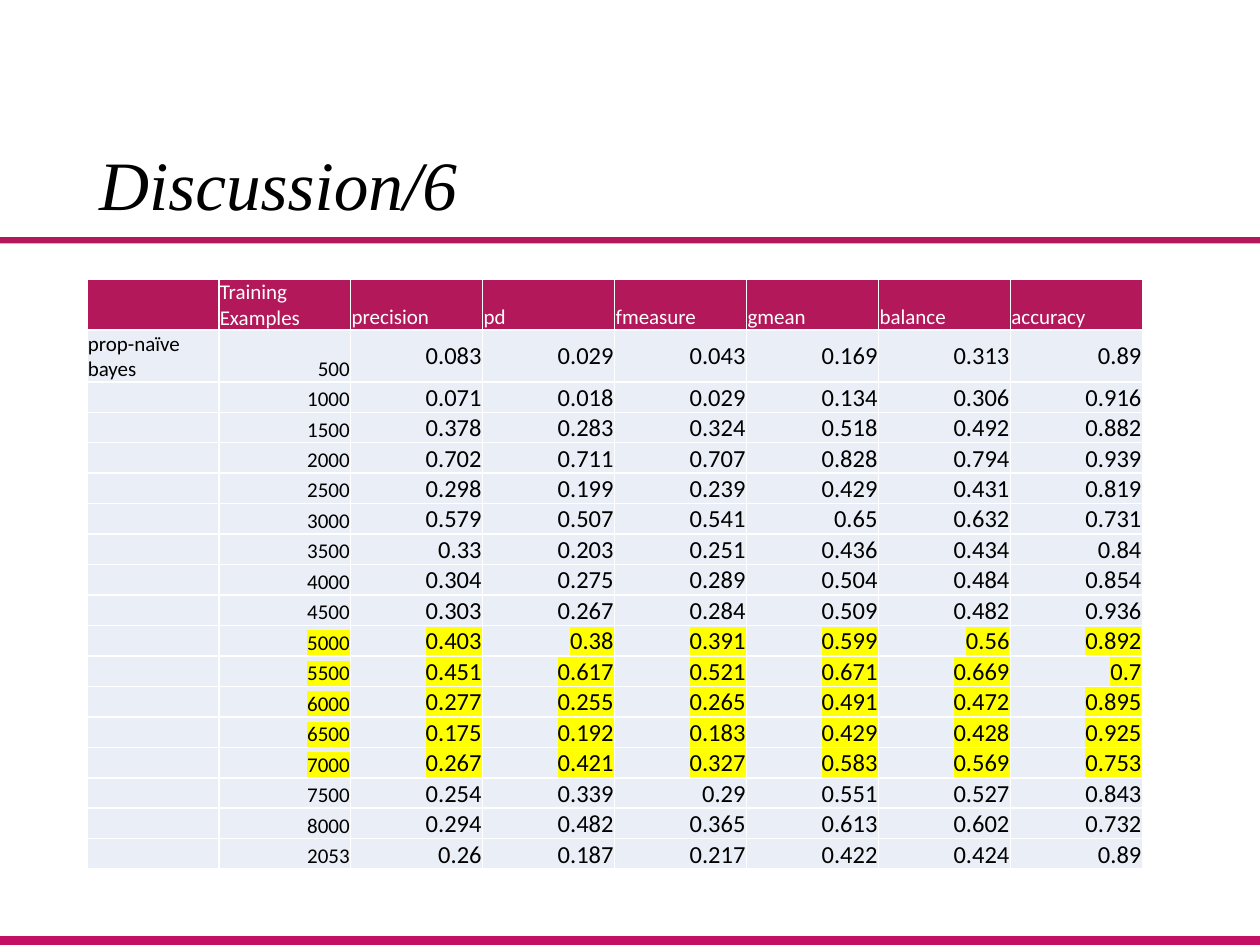
import dataclasses

import lxml.etree
import pptx
import pptx.dml.color
import pptx.enum.shapes
import pptx.enum.text
import pptx.oxml.ns
import pptx.util

Cm = pptx.util.Cm
Pt = pptx.util.Pt
qn = pptx.oxml.ns.qn
ALIGN = pptx.enum.text.PP_ALIGN
ANCHOR = pptx.enum.text.MSO_ANCHOR


@dataclasses.dataclass(frozen=True)
class Theme:
    title_font: str = "Times New Roman"
    table_font: str = "Calibri"
    title_size: float = 39.6
    label_size: float = 12
    value_size: float = 14
    border_width: float = 1
    ink: str = "000000"
    paper: str = "FFFFFF"
    accent: str = "B3195A"
    footer: str = "C21069"
    row_fill: str = "EAEFF7"
    marker: str = "FFFF00"


def rgb(color):
    return pptx.dml.color.RGBColor.from_string(color)


class SlideBuilder:
    def __init__(self, page, theme):
        self.page = page
        self.theme = theme

    def bar(self, left, top, width, height, color):
        box = self.page.shapes.add_shape(
            pptx.enum.shapes.MSO_SHAPE.RECTANGLE,
            Cm(left), Cm(top), Cm(width), Cm(height))
        box.shadow.inherit = False
        box.fill.solid()
        box.fill.fore_color.rgb = rgb(color)
        box.line.fill.background()

    def span(self, para, text, font, size, color, italic=False, marker=None):
        span = para.add_run()
        span.text = text
        span.font.name = font
        span.font.size = Pt(size)
        span.font.bold = False
        span.font.italic = italic
        span.font.color.rgb = rgb(color)
        if marker:
            highlight = lxml.etree.Element(qn("a:highlight"))
            lxml.etree.SubElement(highlight, qn("a:srgbClr"), val=marker)
            span.font._element.find(qn("a:solidFill")).addnext(highlight)

    def title(self, left, top, width, height, text):
        box = self.page.shapes.add_textbox(Cm(left), Cm(top), Cm(width), Cm(height))
        frame = box.text_frame
        frame.word_wrap = True
        frame.vertical_anchor = ANCHOR.MIDDLE
        para = frame.paragraphs[0]
        para.line_spacing = 0.9
        self.span(para, text, self.theme.title_font, self.theme.title_size,
                  self.theme.ink, italic=True)

    def borders(self, cell):
        properties = cell._tc.get_or_add_tcPr()
        for side in ("lnL", "lnR", "lnT", "lnB"):
            line = lxml.etree.SubElement(
                properties, qn(f"a:{side}"), w=str(Pt(self.theme.border_width)))
            fill = lxml.etree.SubElement(line, qn("a:solidFill"))
            lxml.etree.SubElement(fill, qn("a:srgbClr"), val=self.theme.paper)

    def cell(self, cell, text, fill, color, size, align, anchor, marker):
        self.borders(cell)
        cell.fill.solid()
        cell.fill.fore_color.rgb = rgb(fill)
        cell.margin_left = cell.margin_right = cell.margin_top = Cm(0.02)
        cell.margin_bottom = 0
        cell.vertical_anchor = anchor
        para = cell.text_frame.paragraphs[0]
        para.alignment = align
        if text:
            self.span(para, text, self.theme.table_font, size, color, marker=marker)
        else:
            lxml.etree.SubElement(para._p, qn("a:endParaRPr"), sz=str(size * 100))

    def table(self, left, top, column_width, row_heights, rows, marked):
        theme = self.theme
        columns = len(rows[0])
        table = self.page.shapes.add_table(
            len(rows), columns, Cm(left), Cm(top),
            Cm(column_width * columns), Cm(sum(row_heights))).table
        for column in table.columns:
            column.width = Cm(column_width)
        for row, height in zip(table.rows, row_heights):
            row.height = Cm(height)
        for r, row in enumerate(rows):
            header = r == 0
            for c, text in enumerate(row):
                value = not header and c > 1
                self.cell(
                    table.cell(r, c), text,
                    fill=theme.accent if header else theme.row_fill,
                    color=theme.paper if header else theme.ink,
                    size=theme.value_size if value else theme.label_size,
                    align=ALIGN.LEFT if header or c == 0 else ALIGN.RIGHT,
                    anchor=ANCHOR.MIDDLE if value else ANCHOR.BOTTOM,
                    marker=theme.marker if row[1] in marked else None)


HEADER = ["", "Training Examples", "precision", "pd", "fmeasure", "gmean",
          "balance", "accuracy"]
RESULTS = """
500 0.083 0.029 0.043 0.169 0.313 0.89
1000 0.071 0.018 0.029 0.134 0.306 0.916
1500 0.378 0.283 0.324 0.518 0.492 0.882
2000 0.702 0.711 0.707 0.828 0.794 0.939
2500 0.298 0.199 0.239 0.429 0.431 0.819
3000 0.579 0.507 0.541 0.65 0.632 0.731
3500 0.33 0.203 0.251 0.436 0.434 0.84
4000 0.304 0.275 0.289 0.504 0.484 0.854
4500 0.303 0.267 0.284 0.509 0.482 0.936
5000 0.403 0.38 0.391 0.599 0.56 0.892
5500 0.451 0.617 0.521 0.671 0.669 0.7
6000 0.277 0.255 0.265 0.491 0.472 0.895
6500 0.175 0.192 0.183 0.429 0.428 0.925
7000 0.267 0.421 0.327 0.583 0.569 0.753
7500 0.254 0.339 0.29 0.551 0.527 0.843
8000 0.294 0.482 0.365 0.613 0.602 0.732
2053 0.26 0.187 0.217 0.422 0.424 0.89
"""
MARKED = {str(examples) for examples in range(5000, 7001, 500)}

deck = pptx.Presentation()
deck.slide_width = Cm(25.4)
deck.slide_height = Cm(19.05)
theme = Theme()
slide = SlideBuilder(deck.slides.add_slide(deck.slide_layouts[6]), theme)

slide.bar(-0.02, 18.87, 25.43, 0.18, theme.footer)
slide.bar(-0.02, 4.78, 25.43, 0.13, theme.accent)
slide.title(1.75, 2.87, 21.9, 1.83, "Discussion/6")

results = [line.split() for line in RESULTS.strip().splitlines()]
rows = [HEADER] + [["" if i else "prop-naïve bayes"] + result
                   for i, result in enumerate(results)]
heights = [0.97, 1.04] + [0.59] * (len(rows) - 2)
slide.table(1.75, 5.62, 2.66, heights, rows, MARKED)

deck.save("out.pptx")
